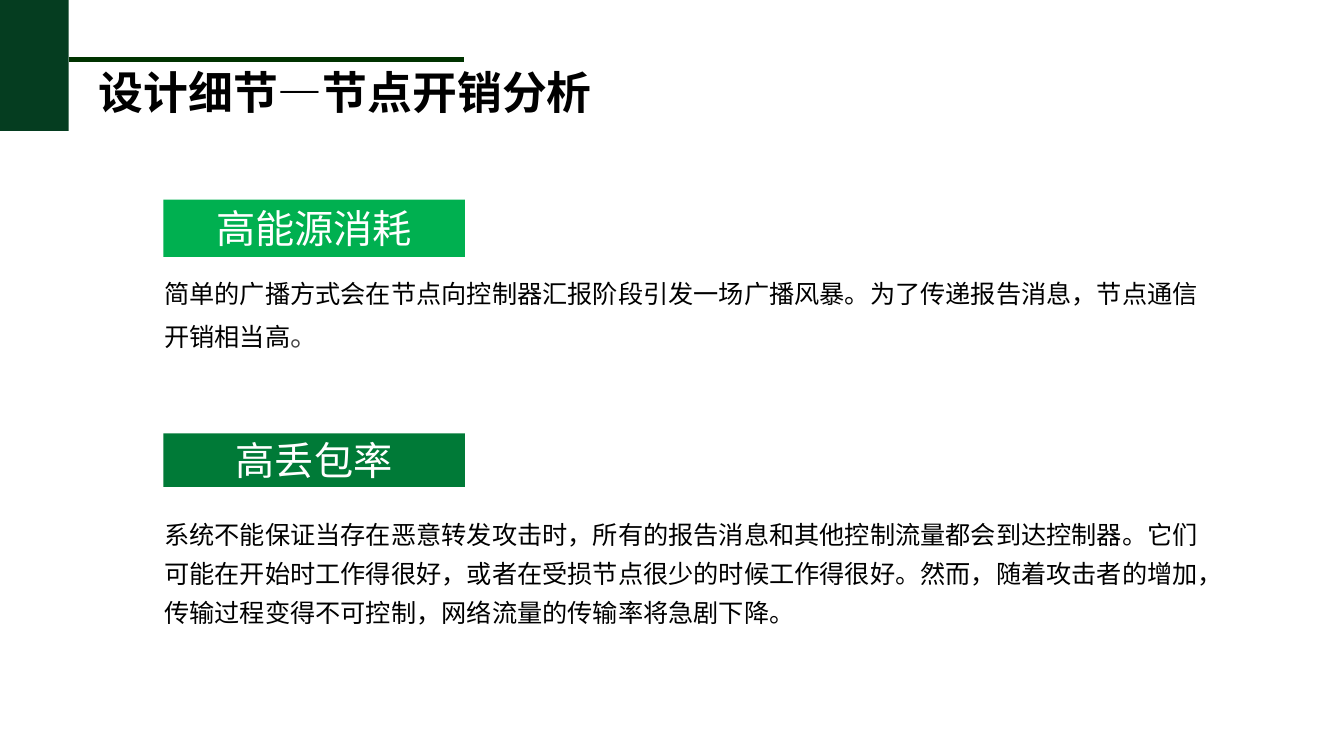
"""Build the slide on node overhead analysis."""
import pptx
import pptx.util
import pptx.dml.color
import pptx.enum.shapes
import pptx.enum.text
import pptx.oxml
import pptx.oxml.ns

TITLE = "设计细节—节点开销分析"
SECTIONS = [
    {
        "heading": "高能源消耗",
        "fill": "light_green",
        "heading_span": (1.98, 0.57),
        "body_span": (2.63, 0.87),
        "runs": [
            ("简单的广播方式会在节点向控制器汇报阶段引发一场广播风暴。为了传递报告消息，节点通信开销相当高", "body"),
            ("。", "stop"),
        ],
    },
    {
        "heading": "高丢包率",
        "fill": "mid_green",
        "heading_span": (4.3, 0.53),
        "body_span": (5.02, 1.22),
        "runs": [
            ("系统不能保证当存在恶意转发攻击时，所有的报告消息和其他控制流量都会到达控制器。"
             "它们可能在开始时工作得很好，或者在受损节点很少的时候工作得很好。"
             "然而，随着攻击者的增加，传输过程变得不可控制，网络流量的传输率将急剧下降。", "body"),
        ],
    },
]
THEME = {
    "colors": {
        "dark_green": "053D20", "rule_green": "003300", "light_green": "00B050",
        "mid_green": "007A37", "black": "000000", "white": "FFFFFF", "gray": "404040",
    },
    "styles": {
        "title": ("Noto Sans CJK SC", 32, "black", True),
        "heading": ("Calibri", 28, "white", False),
        "body": ("Calibri", 18, "black", False),
        "stop": ("Noto Sans CJK SC", 20, "gray", False),
    },
}
SLIDE_SIZE = (13.33, 7.5)
CORNER = (0.68, 1.3)
RULE_TOP, RULE_END = 0.59, 4.6
TITLE_BOX = (0.88, RULE_TOP, 5.24, 0.64)
HEADING_LEFT, HEADING_WIDTH = 1.62, 2.99
BODY_LEFT, BODY_WIDTH = 1.56, 10.52
BODY_INSETS = (0.07, 0.04)
BODY_SPACING = 1.3


def inches(*lengths):
    return [pptx.util.Inches(length) for length in lengths]


def color(name):
    return pptx.dml.color.RGBColor.from_string(THEME["colors"][name])


def add_run(paragraph, text, style):
    family, size, color_name, bold = THEME["styles"][style]
    run = paragraph.add_run()
    run.text = text
    run.font.name = family
    run.font.size = pptx.util.Pt(size)
    run.font.bold = bold
    run.font.color.rgb = color(color_name)
    if family != "Calibri":
        east_asian = pptx.oxml.parse_xml(
            f'<a:ea {pptx.oxml.ns.nsdecls("a")} typeface="{family}"/>')
        run.font._element.append(east_asian)


def add_block(slide, box, fill):
    shape = slide.shapes.add_shape(
        pptx.enum.shapes.MSO_SHAPE.RECTANGLE, *inches(*box))
    shape.shadow.inherit = False
    shape.fill.solid()
    shape.fill.fore_color.rgb = color(fill)
    shape.line.fill.background()
    return shape


def add_text(slide, box, runs, insets=(0.1, 0.05), spacing=None):
    text_frame = slide.shapes.add_textbox(*inches(*box)).text_frame
    text_frame.word_wrap = True
    horizontal, vertical = inches(*insets)
    text_frame.margin_left = text_frame.margin_right = horizontal
    text_frame.margin_top = text_frame.margin_bottom = vertical
    paragraph = text_frame.paragraphs[0]
    paragraph.line_spacing = spacing
    for text, style in runs:
        add_run(paragraph, text, style)


def add_rule(slide):
    connector = slide.shapes.add_connector(
        pptx.enum.shapes.MSO_CONNECTOR.STRAIGHT,
        *inches(CORNER[0], RULE_TOP, RULE_END, RULE_TOP))
    connector.line.color.rgb = color("rule_green")
    connector.line.width = pptx.util.Pt(3)
    connector._element.spPr.append(
        pptx.oxml.parse_xml(f'<a:effectLst {pptx.oxml.ns.nsdecls("a")}/>'))


def add_section(slide, section):
    top, height = section["heading_span"]
    block = add_block(
        slide, (HEADING_LEFT, top, HEADING_WIDTH, height), section["fill"])
    block.text_frame.vertical_anchor = pptx.enum.text.MSO_ANCHOR.MIDDLE
    paragraph = block.text_frame.paragraphs[0]
    paragraph.alignment = pptx.enum.text.PP_ALIGN.CENTER
    add_run(paragraph, section["heading"], "heading")
    top, height = section["body_span"]
    add_text(slide, (BODY_LEFT, top, BODY_WIDTH, height),
             section["runs"], BODY_INSETS, BODY_SPACING)


def main():
    presentation = pptx.Presentation()
    presentation.slide_width, presentation.slide_height = inches(*SLIDE_SIZE)
    slide = presentation.slides.add_slide(presentation.slide_layouts[6])
    add_block(slide, (0, 0, *CORNER), "dark_green")
    add_rule(slide)
    add_text(slide, TITLE_BOX, [(TITLE, "title")])
    for section in SECTIONS:
        add_section(slide, section)
    presentation.save("out.pptx")


if __name__ == "__main__":
    main()
